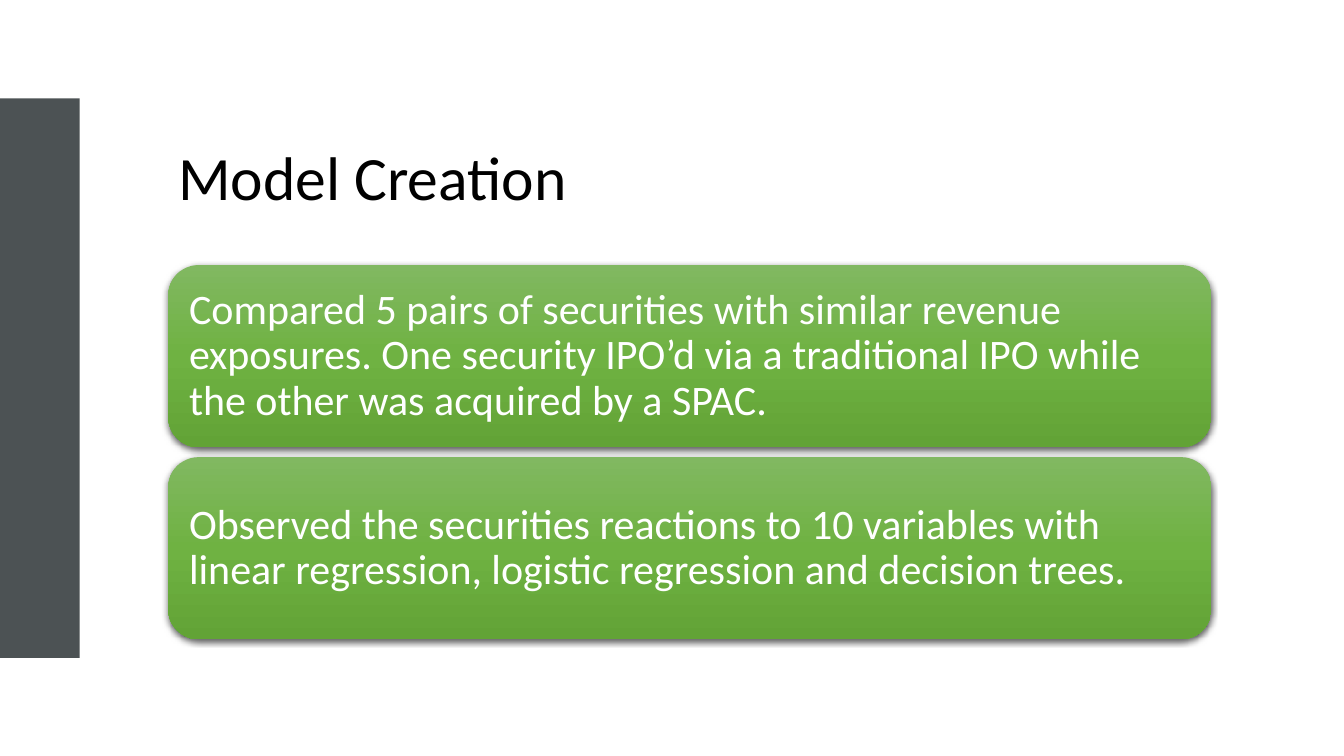
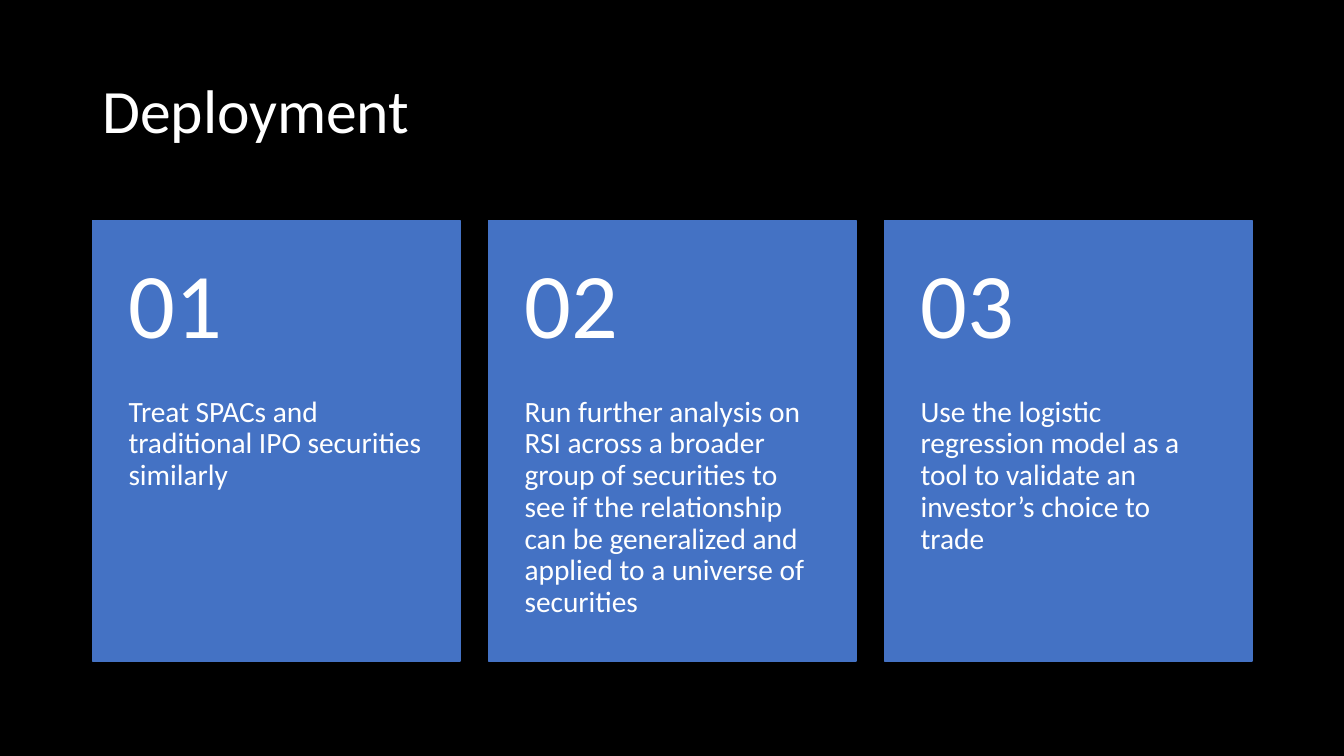
"""Build the Model Creation and Deployment slides."""
import lxml.etree
import pptx
import pptx.dml.color
import pptx.enum.shapes
import pptx.enum.text
import pptx.oxml.ns
import pptx.util

Cm = pptx.util.Cm
Pt = pptx.util.Pt
RGBColor = pptx.dml.color.RGBColor
SHAPE = pptx.enum.shapes.MSO_SHAPE
ANCHOR = pptx.enum.text.MSO_ANCHOR
qn = pptx.oxml.ns.qn

FONT = "Calibri"
BLACK = RGBColor(0x00, 0x00, 0x00)
WHITE = RGBColor(0xFF, 0xFF, 0xFF)
SLATE = RGBColor(0x4C, 0x52, 0x54)
BLUE = RGBColor(0x44, 0x72, 0xC4)
GREENS = {
    0: RGBColor(0x81, 0xB8, 0x61),
    50: RGBColor(0x6F, 0xB2, 0x42),
    100: RGBColor(0x62, 0xA3, 0x36),
}

TITLE = {"size": 44, "anchor": ANCHOR.MIDDLE, "insets": (0.25, 0.13, 0.25, 0.13)}
FINDING = {"size": 30, "anchor": ANCHOR.MIDDLE, "insets": (0.3, 0.3, 0.3, 0.3)}
NUMBER = {"size": 66, "anchor": ANCHOR.MIDDLE, "insets": (0.91, 0.46, 0.91, 0.46)}
STEP = {"size": 21, "anchor": ANCHOR.TOP, "insets": (0.91, 0, 0.91, 0.91)}


def write(shape, text, style, color=WHITE):
    frame = shape.text_frame
    frame.word_wrap = True
    frame.vertical_anchor = style["anchor"]
    for side, inset in zip(("left", "top", "right", "bottom"), style["insets"]):
        setattr(frame, f"margin_{side}", Cm(inset))
    paragraph = frame.paragraphs[0]
    paragraph.alignment = pptx.enum.text.PP_ALIGN.LEFT
    paragraph.line_spacing = 0.9
    run = paragraph.add_run()
    run.text = text
    run.font.name = FONT
    run.font.size = Pt(style["size"])
    run.font.color.rgb = color


def add_titled_slide(title, box, background, color):
    slide = deck.slides.add_slide(deck.slide_layouts[6])
    slide.background.fill.solid()
    slide.background.fill.fore_color.rgb = background
    write(slide.shapes.add_textbox(*map(Cm, box)), title, TITLE, color)
    return slide


deck = pptx.Presentation()
deck.slide_width = Cm(33.87)
deck.slide_height = Cm(19.05)

creation = add_titled_slide("Model Creation", (4.24, 2.92, 26.29, 3.28), WHITE, BLACK)
side_band = creation.shapes.add_shape(SHAPE.RECTANGLE, 0, Cm(2.48), Cm(2.01), Cm(14.1))
side_band.shadow.inherit = False
side_band.fill.solid()
side_band.fill.fore_color.rgb = SLATE
side_band.line.fill.background()

findings = [
    "Compared 5 pairs of securities with similar revenue exposures. "
    "One security IPO’d via a traditional IPO while the other was acquired by a SPAC.",
    "Observed the securities reactions to 10 variables with linear regression, "
    "logistic regression and decision trees.",
]
for row, finding in enumerate(findings):
    panel = creation.shapes.add_shape(
        SHAPE.ROUNDED_RECTANGLE, Cm(4.24), Cm(6.68 + row * 4.84), Cm(26.29), Cm(4.59))
    panel.line.fill.background()
    panel.fill.gradient()
    panel.fill.gradient_angle = 270
    properties = panel._element.spPr
    stops = properties.find(".//" + qn("a:gsLst"))
    stops.clear()
    for percent, green in GREENS.items():
        stop = lxml.etree.SubElement(stops, qn("a:gs"), pos=str(percent * 1000))
        lxml.etree.SubElement(stop, qn("a:srgbClr"), val=str(green))
    panel.shadow.inherit = False
    shadow = lxml.etree.SubElement(
        properties.find(qn("a:effectLst")), qn("a:outerShdw"),
        blurRad=str(Pt(4.5)), dist=str(Pt(1.5)), dir="5400000", rotWithShape="0")
    shade = lxml.etree.SubElement(shadow, qn("a:srgbClr"), val=str(BLACK))
    lxml.etree.SubElement(shade, qn("a:alpha"), val="63000")
    write(panel, finding, FINDING)

deployment = add_titled_slide("Deployment", (2.33, 1.02, 29.21, 3.68), BLACK, WHITE)
steps = [
    "Treat SPACs and traditional IPO securities similarly",
    "Run further analysis on RSI across a broader group of securities to see if "
    "the relationship can be generalized and applied to a universe of securities",
    "Use the logistic regression model as a tool to validate an investor’s choice to trade",
]
card_top, card_width, card_height, card_gap = 5.56, 9.26, 11.1, 0.72
number_height = 0.4 * card_height
for column, step in enumerate(steps):
    left = Cm(2.33 + column * (card_width + card_gap))
    card = deployment.shapes.add_shape(
        SHAPE.RECTANGLE, left, Cm(card_top), Cm(card_width), Cm(card_height))
    card.shadow.inherit = False
    card.fill.solid()
    card.fill.fore_color.rgb = BLUE
    card.line.color.rgb = BLUE
    card.line.width = Pt(1)
    write(card, step, {**STEP, "insets": (0.91, number_height, 0.91, 0.91)})
    number = deployment.shapes.add_textbox(
        left, Cm(card_top), Cm(card_width), Cm(number_height))
    write(number, f"{column + 1:02}", NUMBER)

deck.save("out.pptx")
